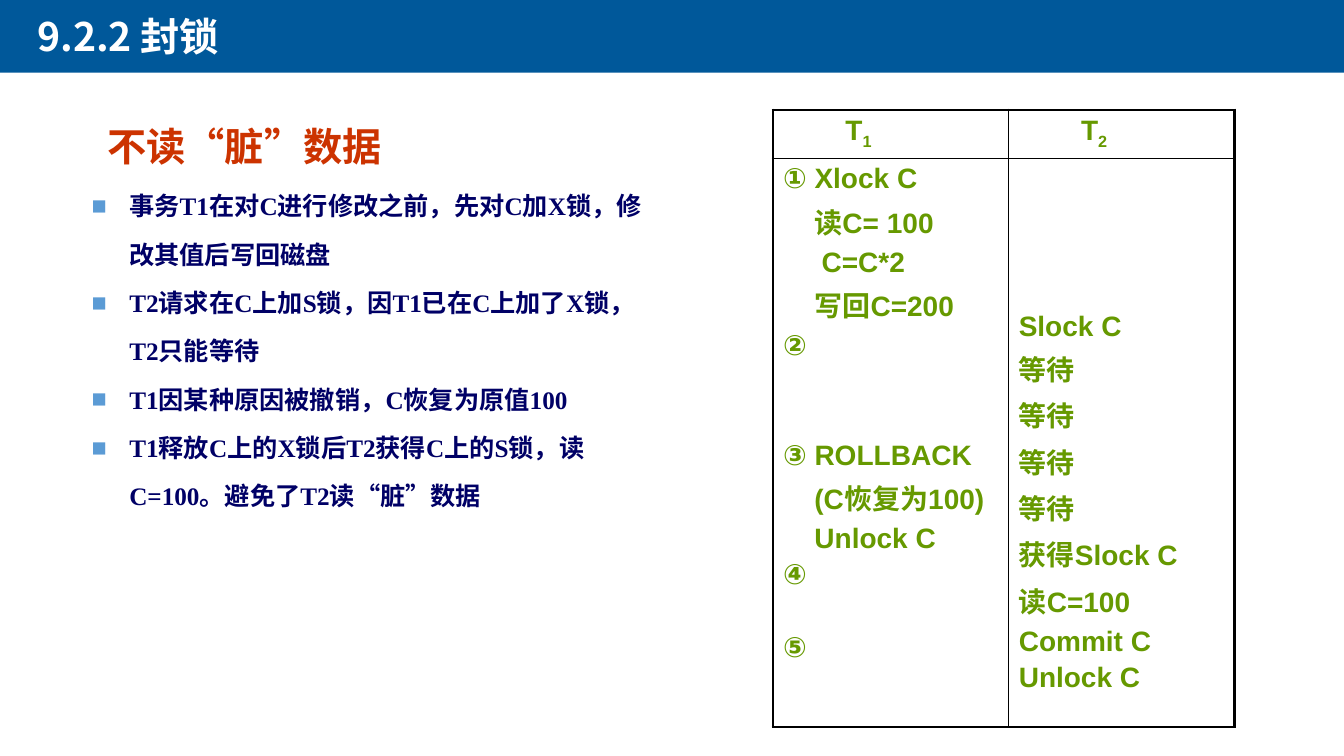
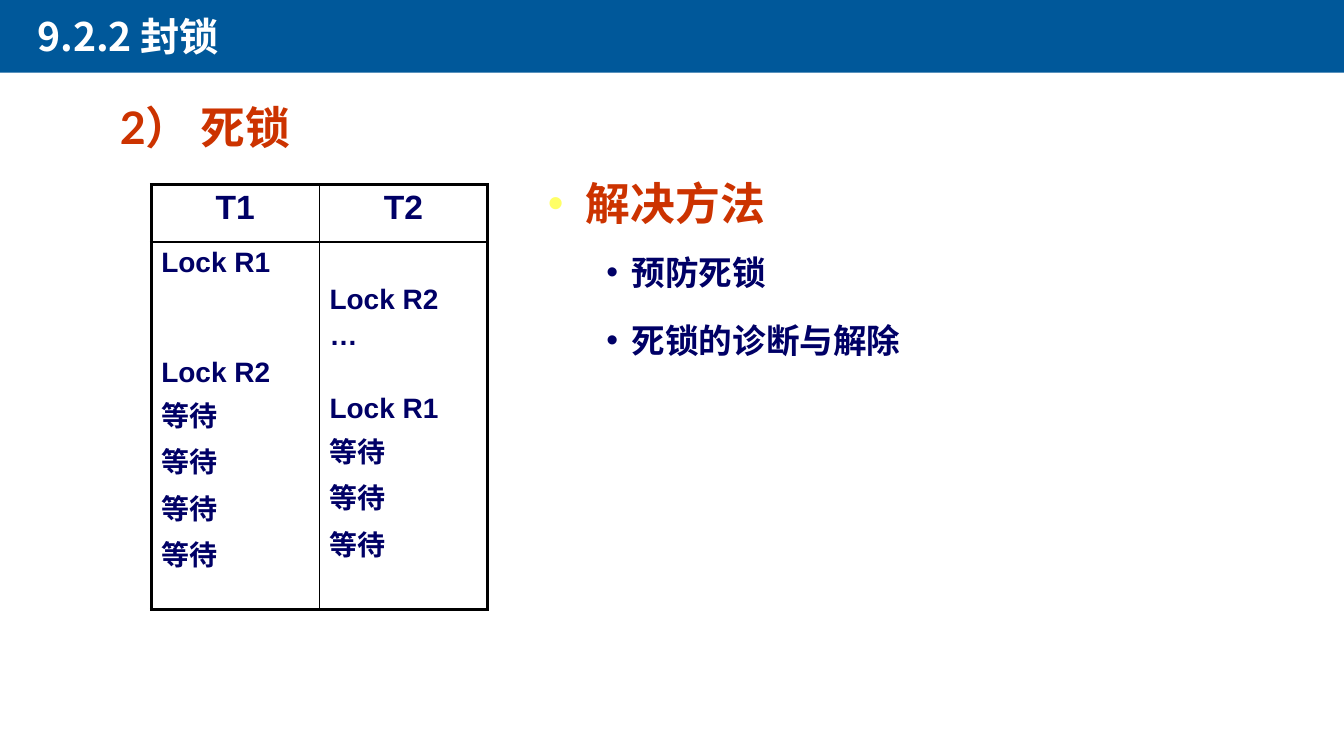
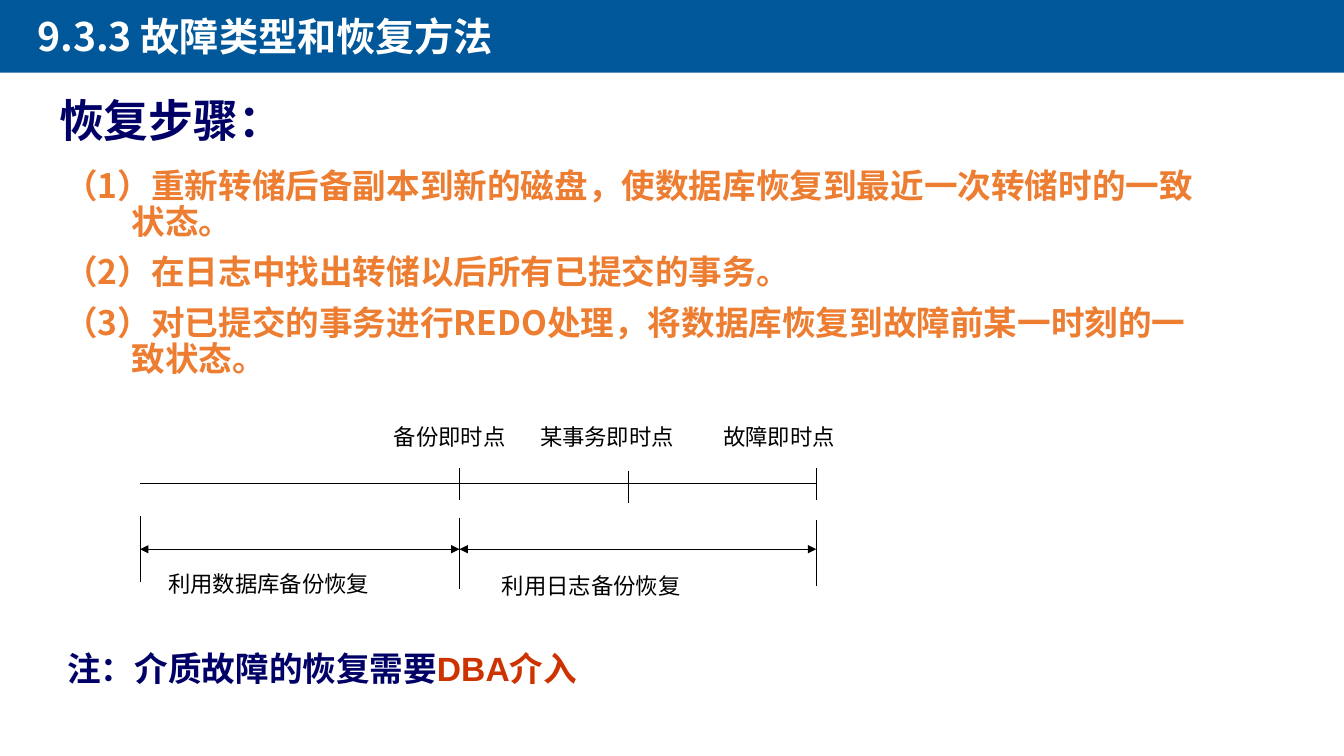
"""Build three lecture slides on database locking and recovery."""
from lxml.etree import SubElement
from pptx import Presentation
from pptx.dml.color import RGBColor
from pptx.enum.lang import MSO_LANGUAGE_ID as Lang
from pptx.enum.shapes import MSO_CONNECTOR as Connector, MSO_SHAPE as Shape
from pptx.enum.text import MSO_ANCHOR as Anchor, PP_ALIGN as Align
from pptx.oxml.ns import qn
from pptx.util import Cm, Pt

COLORS = {
    "band": "00589A", "white": "FFFFFF", "black": "000000", "red": "CC3300",
    "navy": "000066", "green": "669900", "orange": "ED7D31",
    "square": "5B9BD5", "dot": "FFFF66",
}
CJK_FONT = "Noto Sans CJK SC"
LINE_PITCH = 26.3

DIRTY_READ = [
    "事务T1在对C进行修改之前，先对C加X锁，修改其值后写回磁盘",
    "T2请求在C上加S锁，因T1已在C上加了X锁，T2只能等待",
    "T1因某种原因被撤销，C恢复为原值100",
    "T1释放C上的X锁后T2获得C上的S锁，读C=100。避免了T2读“脏”数据",
]
LOCK_SCHEDULE = {
    "heads": [("T", "1"), ("T", "2")],
    "steps": [
        [("① Xlock C", 0, 0), ("读C= 100", 0, 0.79), ("C=C*2", 0, 0.97),
         ("写回C=200", 0, 0.79), ("②", 0, 0), ("③ ROLLBACK", 2, 0),
         ("(C恢复为100)", 0, 0.79), ("Unlock C", 0, 0.79), ("④", 0, 0), ("⑤", 1, 0)],
        [("Slock C", 4, 0), *[("等待", 0, 0)] * 4, ("获得Slock C", 0, 0),
         ("读C=100", 0, 0), ("Commit C", 0, 0), ("Unlock C", 0, 0)],
    ],
}
DEADLOCK_SCHEDULE = {
    "heads": ["T1", "T2"],
    "steps": [
        [("Lock R1", 0, 0), ("Lock R2", 2, 0), *[("等待", 0, 0)] * 4],
        [("Lock R2", 1, 0), ("…", 0, 0), ("Lock R1", 1, 0), *[("等待", 0, 0)] * 3],
    ],
}
REMEDIES = ["预防死锁", "死锁的诊断与解除"]
RECOVERY_STEPS = [
    "（1）重新转储后备副本到新的磁盘，使数据库恢复到最近一次转储时的一致状态。",
    "（2）在日志中找出转储以后所有已提交的事务。",
    "（3）对已提交的事务进行REDO处理，将数据库恢复到故障前某一时刻的一致状态。",
]
START, BACKUP, TRANSACTION, FAILURE = 3.53, 11.58, 15.85, 20.57
TIME_AXIS, SPAN_AXIS = 12.19, 13.84
TICKS = [
    (START, 13.0, 14.66), (BACKUP, 13.06, 14.83), (FAILURE, 13.11, 14.76),
    (BACKUP, 11.79, 12.6), (TRANSACTION, 11.86, 12.67), (FAILURE, 11.79, 12.6),
]
TIMELINE_LABELS = [
    ("备份即时点", 9.68, 10.54), ("某事务即时点", 13.36, 10.54),
    ("故障即时点", 17.98, 10.54),
    ("利用数据库备份恢复", 3.99, 14.25), ("利用日志备份恢复", 12.4, 14.3),
]


def rgb(name):
    return RGBColor.from_string(COLORS[name])


def add_bullet(paragraph, char, color):
    props = paragraph._p.get_or_add_pPr()
    if color:
        SubElement(SubElement(props, qn("a:buClr")), qn("a:srgbClr"), val=COLORS[color])
    SubElement(props, qn("a:buFont"), typeface="Arial")
    SubElement(props, qn("a:buChar"), char=char)


def write(frame, lines, size, font, color, bold=True, align=None, indent=(0, 0),
          spacing=None, before=0, bullet=None):
    for index, line in enumerate(lines):
        paragraph = frame.add_paragraph() if index else frame.paragraphs[0]
        first, *rest = [line] if isinstance(line, str) else line
        paragraph.text = first
        for part in rest:
            paragraph.add_run().text = part
        if align is not None:
            paragraph.alignment = align
        if spacing:
            paragraph.line_spacing = spacing
        paragraph.space_before = Pt(before)
        props = paragraph._p.get_or_add_pPr()
        props.set("marL", str(Cm(indent[0])))
        props.set("indent", str(Cm(indent[1])))
        if bullet:
            add_bullet(paragraph, *bullet)
        for run in paragraph.runs:
            run.font.size, run.font.bold, run.font.name = Pt(size), bold, font
            run.font.color.rgb = rgb(color)
            run.font.language_id = Lang.SIMPLIFIED_CHINESE
            SubElement(run._r.get_or_add_rPr(), qn("a:ea"), typeface=CJK_FONT)


def add_text(slide, place, lines, size, font, color, anchor=Anchor.TOP, **layout):
    frame = slide.shapes.add_textbox(*map(Cm, place)).text_frame
    frame.word_wrap = True
    frame.vertical_anchor = anchor
    write(frame, lines, size, font, color, **layout)
    return frame


def add_titled_slide(deck, title):
    slide = deck.slides.add_slide(deck.slide_layouts[6])
    band = slide.shapes.add_shape(Shape.RECTANGLE, *map(Cm, (0, -0.05, 33.87, 1.88)))
    band.shadow.inherit = False
    band.fill.solid()
    band.fill.fore_color.rgb = rgb("band")
    band.line.fill.background()
    add_text(slide, (0.69, 0.18, 14.05, 1.45), [title], 28, CJK_FONT, "white")
    return slide


def add_borders(cell, row, column):
    outer = {"a:lnL": column == 0, "a:lnR": column == 1,
             "a:lnT": row == 0, "a:lnB": row == 1}
    props = cell._tc.get_or_add_tcPr()
    for tag, is_outer in outer.items():
        edge = SubElement(props, qn(tag), w=str(Pt(2.25 if is_outer else 1)))
        fill = SubElement(edge, qn("a:solidFill"))
        SubElement(fill, qn("a:srgbClr"), val=COLORS["black"])


def add_schedule(slide, corner, widths, heights, schedule, color, head_size, **head_layout):
    place = (*corner, sum(widths), sum(heights))
    table = slide.shapes.add_table(2, 2, *map(Cm, place)).table
    table.first_row = table.horz_banding = False
    for row, height in enumerate(heights):
        table.rows[row].height = Cm(height)
    for column, width in enumerate(widths):
        table.columns[column].width = Cm(width)
        head, body = table.cell(0, column), table.cell(1, column)
        for row, cell in enumerate((head, body)):
            add_borders(cell, row, column)
            cell.fill.background()
        write(head.text_frame, [schedule["heads"][column]], head_size, "Arial", color,
              **head_layout)
        for subscript in head.text_frame.paragraphs[0].runs[1:]:
            subscript._r.get_or_add_rPr().set("baseline", "-25000")

        steps = schedule["steps"][column]
        write(body.text_frame, [text for text, _, _ in steps], 20, "Arial", color)
        body.margin_top = Cm(0.13) + Pt(steps[0][1] * LINE_PITCH)
        previous = ""
        for index, (text, skipped, indent) in enumerate(steps):
            paragraph = body.text_frame.paragraphs[index]
            paragraph._p.get_or_add_pPr().set("marL", str(Cm(indent)))
            lead = 4.1 if max(previous + text) >= "一" else 3.4
            paragraph.space_before = Pt(lead + skipped * LINE_PITCH if index else 0)
            previous = text


def add_line(slide, start, end, arrows=False):
    line = slide.shapes.add_connector(Connector.STRAIGHT, *map(Cm, (*start, *end)))
    line.line.width = Pt(0.75)
    line.line.color.rgb = rgb("black")
    if arrows:
        for tag in ("a:headEnd", "a:tailEnd"):
            SubElement(line.line._get_or_add_ln(), qn(tag), type="triangle")
    SubElement(line._element.spPr, qn("a:effectLst"))


def build_dirty_read(deck):
    slide = add_titled_slide(deck, "9.2.2 封锁")
    add_schedule(slide, (19.48, 2.77), (5.94, 5.69), (1.22, 14.33), LOCK_SCHEDULE,
                 "green", 20, indent=(1.57, 0))
    add_text(slide, (2.46, 2.82, 8.5, 1.7), ["不读“脏”数据"], 28, "Times New Roman",
             "red", anchor=Anchor.MIDDLE)
    add_text(slide, (2.06, 4.22, 14.43, 8.86), DIRTY_READ, 18, "Times New Roman", "navy",
             indent=(0.95, -0.95), spacing=1.6, bullet=("■", "square"))


def build_deadlock(deck):
    slide = add_titled_slide(deck, "9.2.2 封锁")
    heading = {"align": Align.JUSTIFY, "indent": (0.95, -0.95), "spacing": 0.9}
    add_text(slide, (2.77, 2.54, 21.59, 1.47), ["2） 死锁"], 32, "Lato", "red", **heading)
    add_schedule(slide, (3.81, 4.65), (4.24, 4.24), (1.45, 9.25), DEADLOCK_SCHEDULE,
                 "navy", 24, align=Align.CENTER)
    add_text(slide, (13.56, 4.45, 8.89, 1.47), ["解决方法"], 32, "Lato", "red",
             bullet=("•", "dot"), **heading)
    add_text(slide, (13.77, 5.72, 11.86, 4.24), REMEDIES, 24, "Calibri", "navy",
             indent=(1.9, -0.64), spacing=1.5, before=5, bullet=("•", None))


def build_recovery(deck):
    slide = add_titled_slide(deck, "9.3.3 故障类型和恢复方法")
    add_text(slide, (1.37, 4.14, 29.41, 9.02), RECOVERY_STEPS, 24, CJK_FONT, "orange",
             indent=(1.7, -1.7), spacing=0.9, before=10)
    for x, top, bottom in TICKS:
        add_line(slide, (x, top), (x, bottom))
    add_line(slide, (START, TIME_AXIS), (FAILURE, TIME_AXIS))
    for left, right in ((START, BACKUP), (BACKUP, FAILURE)):
        add_line(slide, (left, SPAN_AXIS), (right, SPAN_AXIS), arrows=True)
    for label, left, top in TIMELINE_LABELS:
        add_text(slide, (left, top, 7.11, 1.24), [label], 16, "Times New Roman", "black",
                 bold=False)
    add_text(slide, (1.24, 2.36, 21.59, 1.47), ["恢复步骤："], 32, "Lato", "navy",
             align=Align.JUSTIFY, spacing=0.9)
    note = add_text(slide, (1.45, 16.21, 23.5, 2.39), [("注：介质故障的恢复需要", "DBA介入")],
                    24, "Arial", "navy", indent=(0.95, -0.95))
    note.paragraphs[0].runs[1].font.color.rgb = rgb("red")


def main():
    deck = Presentation()
    deck.slide_width, deck.slide_height = Cm(33.87), Cm(19.05)
    for build in (build_dirty_read, build_deadlock, build_recovery):
        build(deck)
    deck.save("out.pptx")


if __name__ == "__main__":
    main()
